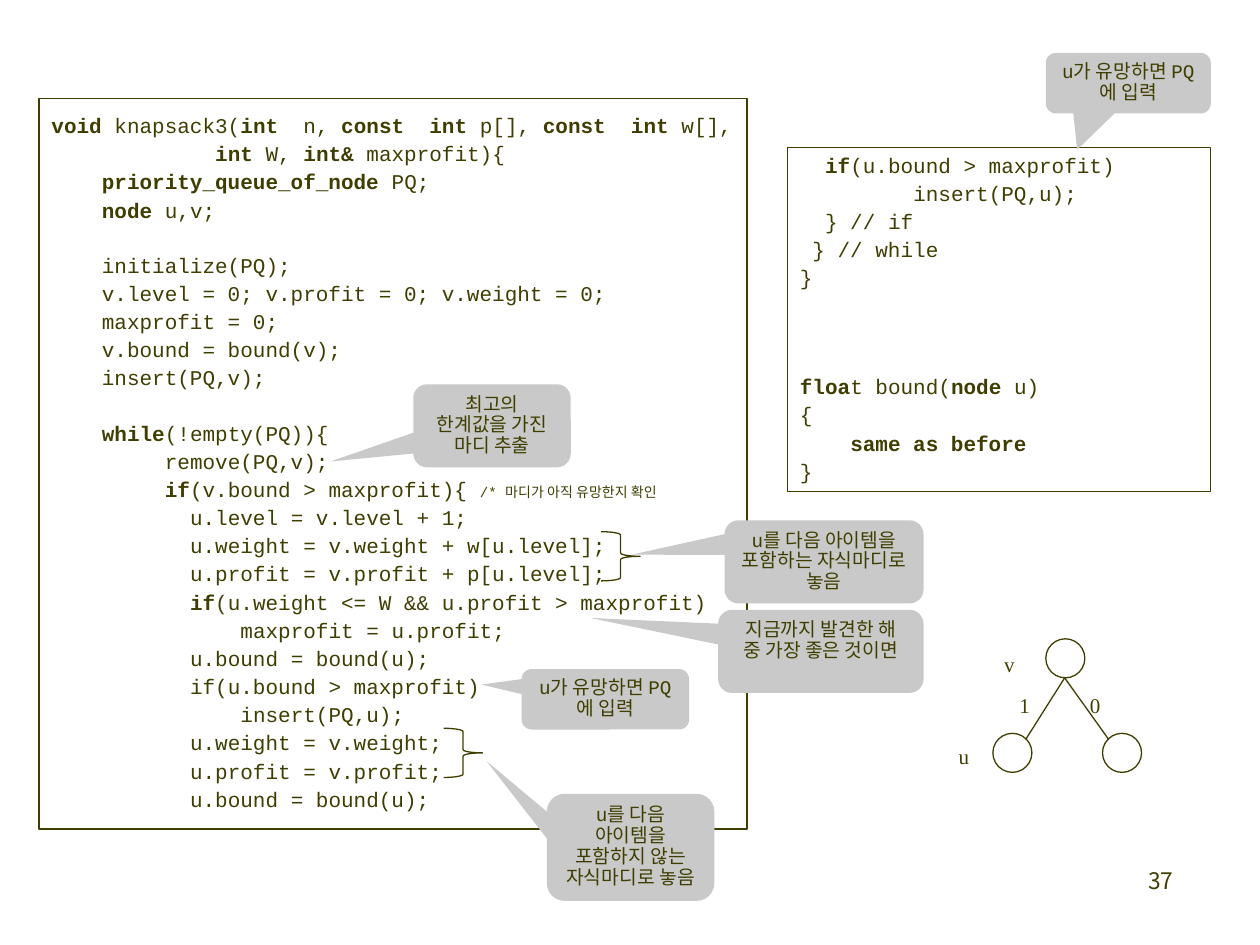
import pptx
import pptx.util
import pptx.dml.color
import pptx.enum.shapes
import pptx.enum.text
from dataclasses import dataclass
from lxml import etree
from pptx.util import Inches

COLORS = {"ink": "3F3E00", "callout": "C9C9C9"}
MONO, SERIF, SANS = "Courier New", "Times New Roman", "Noto Sans CJK KR"
SHAPE = pptx.enum.shapes.MSO_SHAPE
ALIGN = pptx.enum.text.PP_ALIGN
CHAR_WIDTH = 0.1
GAP, LINE_PITCH = 3.15, 15.38


@dataclass
class Code:
    indent: int
    text: str
    blank_before: int = 0
    note: str = ""


@dataclass
class Callout:
    box: tuple
    tip: tuple
    text: str


@dataclass
class Label:
    box: tuple
    text: str
    inset: float = 0.1
    wrap: bool = True


KNAPSACK = [
    Code(0, "**void** knapsack3(**int**  n, **const  int** p[], **const  int** w[],"),
    Code(13, "**int** W, **int&** maxprofit){"),
    Code(4, "**priority_queue_of_node** PQ;"),
    Code(4, "**node** u,v;"),
    Code(4, "initialize(PQ);", 1),
    Code(4, "v.level = 0; v.profit = 0; v.weight = 0;"),
    Code(4, "maxprofit = 0;"),
    Code(4, "v.bound = bound(v);"),
    Code(4, "insert(PQ,v);"),
    Code(4, "**while**(!empty(PQ)){", 1),
    Code(9, "remove(PQ,v);"),
    Code(9, "**if**(v.bound > maxprofit){ ", note="/* 마디가 아직 유망한지 확인"),
    Code(11, "u.level = v.level + 1;"),
    Code(11, "u.weight = v.weight + w[u.level];"),
    Code(11, "u.profit = v.profit + p[u.level];"),
    Code(11, "**if**(u.weight <= W && u.profit > maxprofit)"),
    Code(15, "maxprofit = u.profit;"),
    Code(11, "u.bound = bound(u);"),
    Code(11, "if(u.bound > maxprofit)"),
    Code(15, "insert(PQ,u);"),
    Code(11, "u.weight = v.weight;"),
    Code(11, "u.profit = v.profit;"),
    Code(11, "u.bound = bound(u);"),
]
BOUND = [
    Code(2, "**if**(u.bound > maxprofit)"),
    Code(9, "insert(PQ,u);"),
    Code(2, "} // if"),
    Code(1, "} // while"),
    Code(0, "}"),
    Code(0, "**floa**t bound(**node** u)", 3),
    Code(0, "{"),
    Code(4, "**same as before**"),
    Code(0, "}"),
]
CALLOUTS = [
    Callout((3.28, 3.05, 1.25, 0.66), (-1.026, 0.429), "최고의 한계값을 가진 마디 추출"),
    Callout((5.75, 4.13, 1.58, 0.66), (-0.966, -0.087), "u를 다음 아이템을 포함하는 자식마디로 놓음"),
    Callout((5.7, 4.84, 1.63, 0.66), (-1.121, -0.401), "지금까지 발견한 해 중 가장 좋은 것이면"),
    Callout((4.34, 6.3, 1.33, 0.85), (-0.86, -0.806), "u를 다음 아이템을 포함하지 않는 자식마디로 놓음"),
    Callout((4.14, 5.31, 1.33, 0.48), (-0.739, -0.244), "u가 유망하면 PQ에 입력"),
    Callout((8.3, 0.42, 1.31, 0.48), (-0.31, 1.101), "u가 유망하면 PQ에 입력"),
]
BRACES = [(4.77, 4.22), (3.52, 5.78)]
NODES = [(8.3, 5.07), (7.88, 5.82), (8.75, 5.82)]
EDGE_ENDS = [(8.14, 5.87), (8.8, 5.87)]
LABELS = [
    Label((8.09, 5.26, 0.11, 0.44), "1", inset=0),
    Label((8.65, 5.26, 0.11, 0.44), "0", inset=0),
    Label((7.87, 4.93, 0.29, 0.43), "v", wrap=False),
    Label((7.51, 5.66, 0.29, 0.43), "u", wrap=False),
]


def rgb(name: str):
    return pptx.dml.color.RGBColor.from_string(COLORS[name])


def style(r, size: float, font: str = MONO, bold: bool = False) -> None:
    r.font.size = pptx.util.Pt(size)
    r.font.name = font
    r.font.bold = bold
    r.font.color.rgb = rgb("ink")


def outline(line) -> None:
    line.color.rgb = rgb("ink")
    line.width = pptx.util.Pt(0.75)


def add_shape(s, kind, box: tuple, fill: str = ""):
    sp = s.shapes.add_shape(kind, *map(Inches, box))
    sp.shadow.inherit = False
    if fill:
        sp.fill.solid()
        sp.fill.fore_color.rgb = rgb(fill)
        sp.line.fill.background()
    else:
        sp.fill.background()
        outline(sp.line)
    return sp


def add_code(s, box: tuple, lines: list) -> None:
    tf = add_shape(s, SHAPE.RECTANGLE, box).text_frame
    tf.word_wrap = True
    tf.vertical_anchor = pptx.enum.text.MSO_ANCHOR.MIDDLE
    for i, code in enumerate(lines):
        p = tf.add_paragraph() if i else tf.paragraphs[0]
        p.alignment = ALIGN.LEFT
        p.line_spacing = 0.9
        p.space_before = pptx.util.Pt(GAP + LINE_PITCH * code.blank_before)
        p._p.get_or_add_pPr().set("marL", str(Inches(code.indent * CHAR_WIDTH)))
        for j, part in enumerate(code.text.split("**")):
            if part:
                r = p.add_run()
                r.text = part
                style(r, 12, bold=j % 2 == 1)
        if code.note:
            r = p.add_run()
            r.text = code.note
            style(r, 8)


def add_callout(s, callout: Callout) -> None:
    sp = add_shape(s, SHAPE.ROUNDED_RECTANGULAR_CALLOUT, callout.box, "callout")
    sp.adjustments[0], sp.adjustments[1] = callout.tip
    tf = sp.text_frame
    tf.word_wrap = True
    tf.vertical_anchor = pptx.enum.text.MSO_ANCHOR.TOP
    p = tf.paragraphs[0]
    p.text = callout.text
    p.alignment = ALIGN.CENTER
    p.line_spacing = 0.9
    p.space_before = pptx.util.Pt(2.5)
    style(p.runs[0], 11)


def add_text(s, label: Label, size: float, font: str):
    tf = s.shapes.add_textbox(*map(Inches, label.box)).text_frame
    tf.word_wrap = label.wrap
    tf.margin_left = tf.margin_right = Inches(label.inset)
    p = tf.paragraphs[0]
    p.text = label.text
    style(p.runs[0], size, font)
    return p


def add_edge(s, start: tuple, end: tuple) -> None:
    line = s.shapes.add_connector(
        pptx.enum.shapes.MSO_CONNECTOR.STRAIGHT, *map(Inches, start + end))
    outline(line.line)
    etree.SubElement(line._element.spPr, pptx.oxml.ns.qn("a:effectLst"))


prs = pptx.Presentation()
prs.slide_width, prs.slide_height = Inches(10), Inches(7.5)
s = prs.slides.add_slide(prs.slide_layouts[6])

add_text(s, Label((7.33, 6.83, 2.08, 0.5), "37"), 13, SANS).alignment = ALIGN.RIGHT
add_code(s, (6.25, 1.17, 3.36, 2.73), BOUND)
add_code(s, (0.31, 0.78, 5.62, 5.8), KNAPSACK)
for callout in CALLOUTS:
    add_callout(s, callout)
for corner in BRACES:
    brace = add_shape(s, SHAPE.LEFT_BRACE, corner + (0.31, 0.39))
    brace.rotation = 180
for corner in NODES:
    add_shape(s, SHAPE.OVAL, corner + (0.31, 0.31))
for end in EDGE_ENDS:
    add_edge(s, (8.45, 5.38), end)
for label in LABELS:
    add_text(s, label, 12, SERIF).line_spacing = pptx.util.Pt(28)

prs.save("out.pptx")
